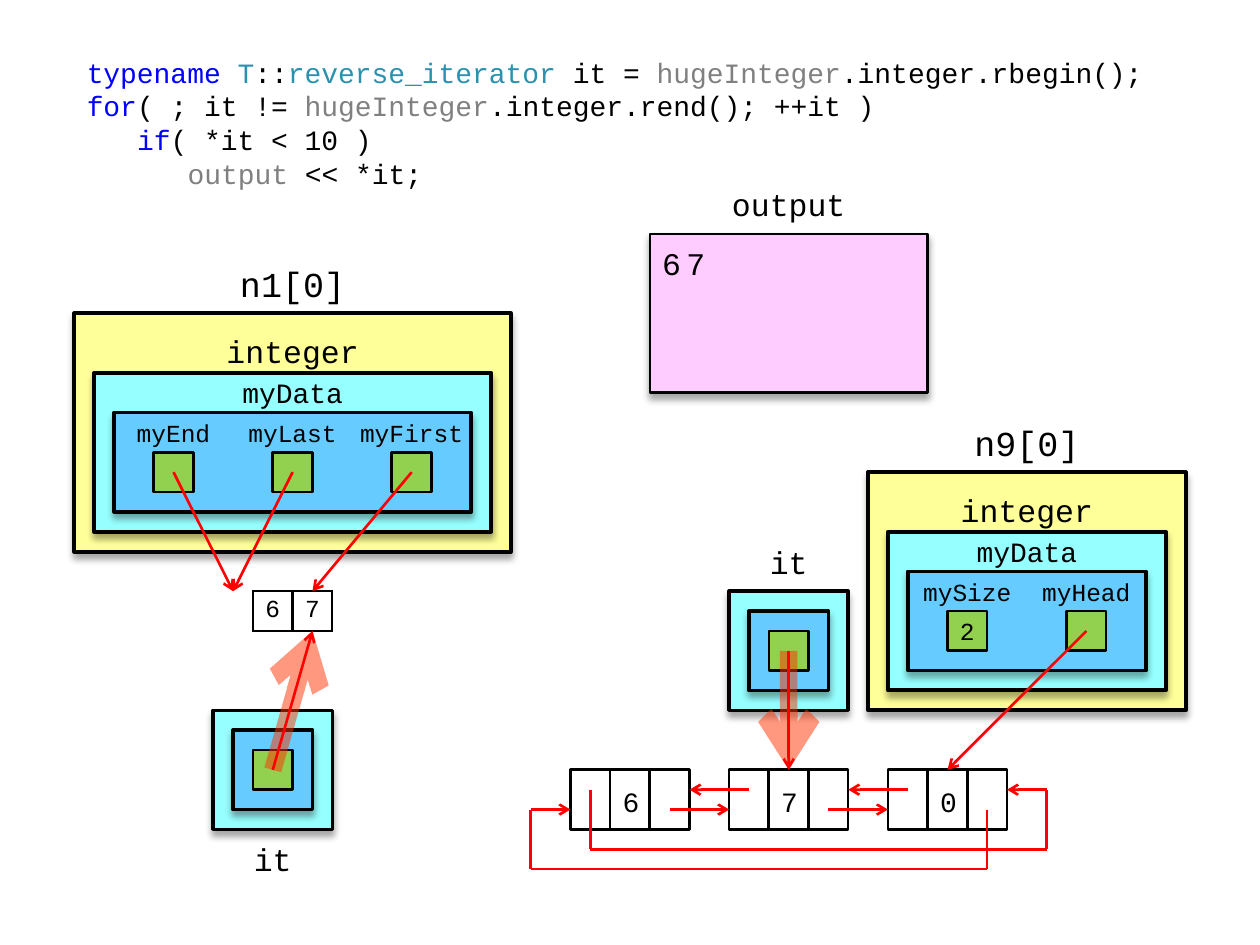
from lxml import etree
from pptx import Presentation
from pptx import util as u
from pptx.dml.color import RGBColor
from pptx.enum import shapes, text
from pptx.oxml import parse_xml
from pptx.oxml.ns import nsdecls, qn

BLACK = RGBColor(0, 0, 0)
RED = RGBColor(0xFF, 0, 0)
ORANGE = RGBColor(0xFF, 0x33, 0)
YELLOW = RGBColor(0xFF, 0xFF, 0x99)
CYAN = RGBColor(0x96, 0xFF, 0xFF)
SKY = RGBColor(0x66, 0xCC, 0xFF)
GREEN = RGBColor(0x92, 0xD0, 0x50)
PINK = RGBColor(0xFF, 0xCC, 0xFF)
KEYWORD = RGBColor(0, 0, 0xFF)
TYPE = RGBColor(0x2B, 0x91, 0xAF)
PARAMETER = RGBColor(0x80, 0x80, 0x80)

FONT = "Courier New"
CELL = u.Inches(0.63) // 4
LEFT, TOP = u.Inches(0.59), u.Inches(0.44)

CODE = [
    (0, [("typename ", KEYWORD), ("T", TYPE), ("::", BLACK), ("reverse_iterator", TYPE),
         (" it = ", BLACK), ("hugeInteger", PARAMETER), (".integer.rbegin();", BLACK)]),
    (0, [("for", KEYWORD), ("( ; it != ", BLACK), ("hugeInteger", PARAMETER),
         (".integer.rend(); ++it )", BLACK)]),
    (1, [("if", KEYWORD), ("( *it < 10 )", BLACK)]),
    (2, [("output", PARAMETER), (" << *it;", BLACK)]),
]


def grid(col, row):
    """Slide position of a grid point."""
    return LEFT + col * CELL, TOP + row * CELL


def style(span, size, color=BLACK):
    span.font.name = FONT
    span.font.size = u.Pt(size)
    span.font.color.rgb = color


def write(frame, words, size, insets=(0.04, 0.05, 0.04, 0.05), align=text.PP_ALIGN.CENTER,
          anchor=text.MSO_ANCHOR.MIDDLE):
    frame.margin_left, frame.margin_top, frame.margin_right, frame.margin_bottom = map(u.Inches, insets)
    frame.vertical_anchor = anchor
    frame.text = words
    para = frame.paragraphs[0]
    para.alignment = align
    style(para.runs[0], size)
    return para.runs[0]


def label(slide, col, row, width, height, words, size, insets=(0.04, 0.05, 0.04, 0.05)):
    box = slide.shapes.add_textbox(*grid(col, row), width * CELL, height * CELL)
    write(box.text_frame, words, size, insets)


def block(slide, col, row, width, height, fill=None, line=1.5, shadow=False):
    kind = shapes.MSO_SHAPE.FLOWCHART_PROCESS if shadow else shapes.MSO_SHAPE.RECTANGLE
    box = slide.shapes.add_shape(kind, *grid(col, row), width * CELL, height * CELL)
    box.shadow.inherit = False
    if fill is None:
        box.fill.background()
    else:
        box.fill.solid()
        box.fill.fore_color.rgb = fill
    box.line.color.rgb = BLACK
    box.line.width = u.Pt(line)
    if shadow:
        effects = box._element.spPr.find(qn("a:effectLst"))
        effects.append(parse_xml(
            f'<a:outerShdw {nsdecls("a")} blurRad="{u.Pt(4)}" dist="{u.Pt(3)}" dir="5400000" '
            'rotWithShape="0"><a:srgbClr val="000000"><a:alpha val="35000"/></a:srgbClr></a:outerShdw>'))
    return box


def wire(slide, start, end, arrow=True, color=RED, width=1.5, alpha=None, target=None):
    """Line between grid points; target is a box whose top middle it joins."""
    line = slide.shapes.add_connector(shapes.MSO_CONNECTOR.STRAIGHT, *grid(*start), *grid(*end))
    if target is not None:
        line.end_connect(target, 0)
    line.line.color.rgb = color
    line.line.width = u.Pt(width)
    properties = line._element.spPr
    outline = properties.find(qn("a:ln"))
    if alpha:
        etree.SubElement(outline.find(".//" + qn("a:srgbClr")), qn("a:alpha"), val=str(alpha * 1000))
    if arrow:
        etree.SubElement(outline, qn("a:tailEnd"), type="arrow")
    etree.SubElement(properties, qn("a:effectLst"))


def code_listing(slide, col, row, width, height):
    frame = slide.shapes.add_textbox(*grid(col, row), width * CELL, height * CELL).text_frame
    frame.word_wrap = True
    frame.margin_top = 0
    for index, (level, parts) in enumerate(CODE):
        para = frame.add_paragraph() if index else frame.paragraphs[0]
        para.line_spacing = u.Pt(19.2)
        para._p.get_or_add_pPr().set("marL", str(level * u.Inches(0.4)))
        for words, color in parts:
            span = para.add_run()
            span.text = words
            style(span, 16, color)


def output_panel(slide, col, row):
    label(slide, col + 3, row - 3, 8, 3, "output", 18)
    panel = block(slide, col, row, 14, 8, PINK, shadow=True)
    span = write(panel.text_frame, "67", 18, (0.1, 0.08, 0.1, 0.05),
                 text.PP_ALIGN.LEFT, text.MSO_ANCHOR.TOP)
    span._r.get_or_add_rPr().set("spc", "300")


def integer_object(slide, col, row, width, name, fields):
    """Nested object boxes with one six-cell column for each (field, value)."""
    middle = col + width / 2 - 4
    label(slide, middle, row - 3, 8, 3, name, 20)
    block(slide, col, row, width, 12, YELLOW, 2.25, True)
    label(slide, middle, row, 8, 3, "integer", 18, (0.08, 0.12, 0.08, 0))
    block(slide, col + 1, row + 3, width - 2, 8, CYAN, 2.25, True)
    label(slide, middle, row + 3, 8, 2, "myData", 16, (0.08, 0, 0.08, 0))
    block(slide, col + 2, row + 5, width - 4, 5, SKY, 2, True)
    for index, (field, value) in enumerate(fields):
        left = col + 2 + 6 * index
        label(slide, left, row + 5, 6, 2, field, 14)
        slot = block(slide, left + 2, row + 7, 2, 2, GREEN)
        if value:
            write(slot.text_frame, value, 14)


def digit_array(slide, col, row, digits):
    table = slide.shapes.add_table(1, len(digits), *grid(col, row),
                                   2 * CELL * len(digits), 2 * CELL).table
    table.first_row = table.horz_banding = False
    for cell, digit in zip(table.iter_cells(), digits):
        write(cell.text_frame, digit, 14)
        cell.vertical_anchor = text.MSO_ANCHOR.MIDDLE
        cell.margin_left = cell.margin_right = u.Inches(0.06)
        cell.margin_top = cell.margin_bottom = u.Inches(0.04)
        cell.fill.background()
        for index, side in enumerate(("lnL", "lnR", "lnT", "lnB")):
            cell._tc.tcPr.insert(index, parse_xml(
                f'<a:{side} {nsdecls("a")} w="{u.Pt(1.5)}"><a:solidFill>'
                f'<a:srgbClr val="{BLACK}"/></a:solidFill></a:{side}>'))


def list_node(slide, col, row, digit):
    """Three-part node; returns its middle part."""
    parts = [block(slide, col + 2 * index, row, 2, 3) for index in range(3)]
    write(parts[1].text_frame, digit, 16, (0.1, 0.06, 0.1, 0.04))
    return parts[1]


def linked_list(slide, col, row, digits):
    """Circular list with a node every eight cells; returns the middle parts."""
    step = 8
    middles = [list_node(slide, col + step * index, row, digit) for index, digit in enumerate(digits)]
    for left in range(col, col + step * (len(digits) - 1), step):
        wire(slide, (left + 9, row + 1), (left + 6, row + 1))
        wire(slide, (left + 5, row + 2), (left + 8, row + 2))
    last = col + step * (len(digits) - 1)
    forward = [(last + 5, row + 2), (last + 5, row + 5), (col - 2, row + 5), (col - 2, row + 2), (col, row + 2)]
    backward = [(col + 1, row + 1), (col + 1, row + 4), (last + 8, row + 4), (last + 8, row + 1), (last + 6, row + 1)]
    for route in (forward, backward):
        for start, end in zip(route, route[1:]):
            wire(slide, start, end, arrow=end == route[-1])
    return middles


def iterator(slide, col, row, label_row, goal, target=None):
    label(slide, col + 1, label_row, 4, 3, "it", 18)
    block(slide, col, row, 6, 6, CYAN, 2, True)
    block(slide, col + 1, row + 1, 4, 4, SKY, 2, True)
    block(slide, col + 2, row + 2, 2, 2, GREEN)
    start = (col + 3, row + 3)
    wire(slide, start, goal, color=ORANGE, width=10, alpha=50, target=target)
    wire(slide, start, goal, target=target)


def main():
    deck = Presentation()
    deck.slide_width, deck.slide_height = u.Inches(10), u.Inches(7.5)
    slide = deck.slides.add_slide(deck.slide_layouts[6])
    code_listing(slide, 0, 0, 56, 7)
    output_panel(slide, 29, 9)
    digit_array(slide, 9, 27, "67")
    middles = linked_list(slide, 25, 36, "670")
    integer_object(slide, 0, 13, 22, "n1[0]", [("myEnd", ""), ("myLast", ""), ("myFirst", "")])
    for start, goal in ((5, 8), (11, 8), (17, 12)):
        wire(slide, (start, 21), (goal, 27))
    integer_object(slide, 40, 21, 16, "n9[0]", [("mySize", "2"), ("myHead", "")])
    wire(slide, (51, 29), (44, 36), target=middles[2])
    iterator(slide, 7, 33, 39, (12, 29))
    iterator(slide, 33, 27, 24, (36, 36), middles[1])
    deck.save("out.pptx")


if __name__ == "__main__":
    main()
